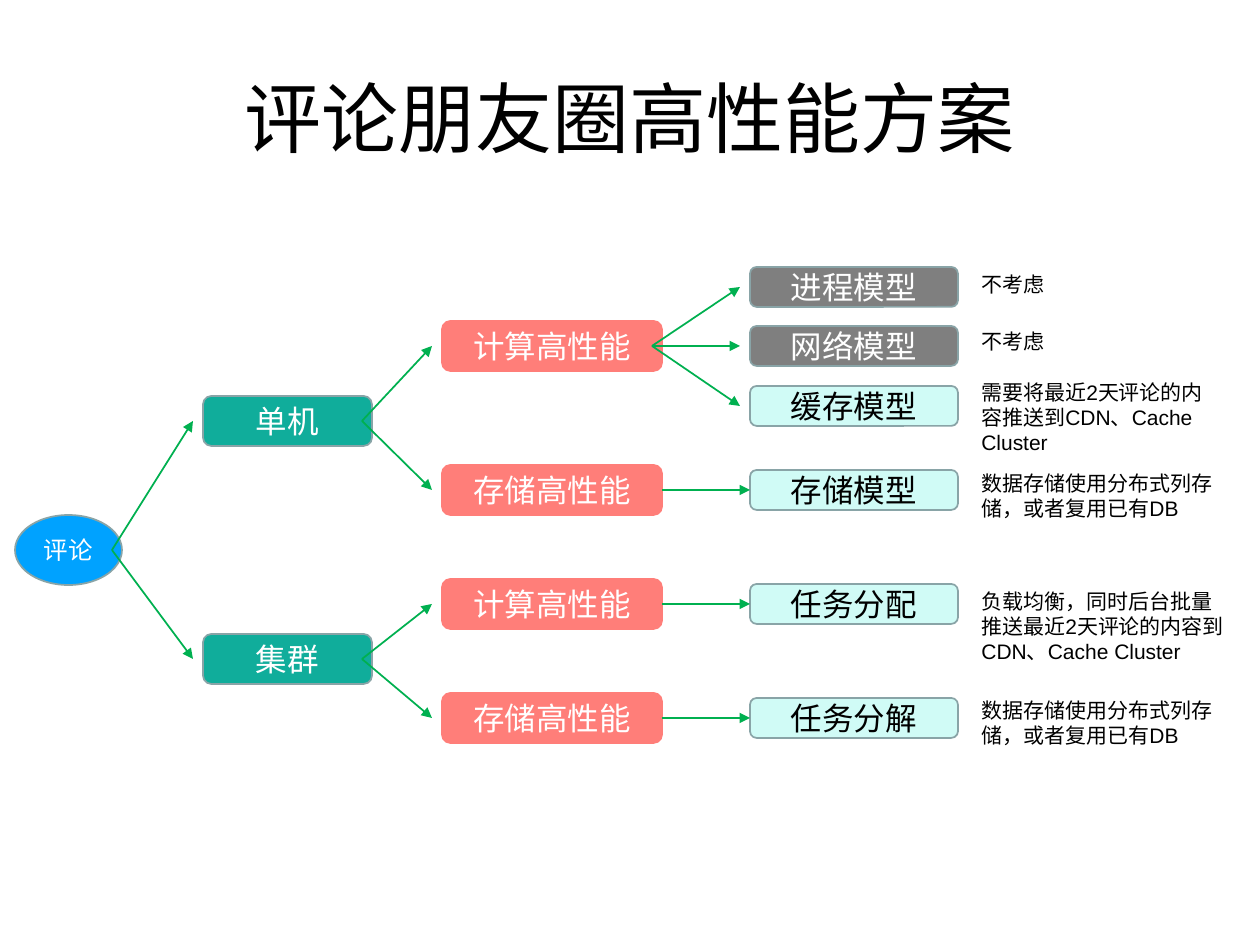
"""Build a slide with a tree of performance options for comments."""
import pptx
import pptx.dml.color
import pptx.enum.shapes
import pptx.enum.text
import pptx.oxml
import pptx.oxml.ns
import pptx.util

RGB = pptx.dml.color.RGBColor
SHAPE = pptx.enum.shapes.MSO_SHAPE
ALIGN = pptx.enum.text.PP_ALIGN
ANCHOR = pptx.enum.text.MSO_ANCHOR

BLUE = RGB(0x00, 0xA2, 0xFF)
TEAL = RGB(0x10, 0xAD, 0x9B)
CORAL = RGB(0xFF, 0x7E, 0x79)
GRAY = RGB(0x7F, 0x7F, 0x7F)
MINT = RGB(0xD0, 0xFB, 0xF6)
EDGE = RGB(0x89, 0xA4, 0xA7)
GREEN = RGB(0x00, 0xB0, 0x50)
WHITE = RGB(0xFF, 0xFF, 0xFF)
BLACK = RGB(0x00, 0x00, 0x00)

TITLE = "评论朋友圈高性能方案"
STORAGE_NOTE = "数据存储使用分布式列存储，或者复用已有DB"

# name, centre y, style, children
TREE = ("评论", 550, "root", [
    ("单机", 421, "branch", [
        ("计算高性能", 346, "topic", [
            ("进程模型", 287, "skipped", []),
            ("网络模型", 346, "skipped", []),
            ("缓存模型", 406, "leaf", []),
        ]),
        ("存储高性能", 490, "topic", [("存储模型", 490, "leaf", [])]),
    ]),
    ("集群", 659, "branch", [
        ("计算高性能", 604, "topic", [("任务分配", 604, "leaf", [])]),
        ("存储高性能", 718, "topic", [("任务分解", 718, "leaf", [])]),
    ]),
])

# left, width, height, fill, line, font colour, font size
STYLES = {
    "root": (15, 107, 70, BLUE, EDGE, WHITE, 14),
    "branch": (203, 169, 50, TEAL, EDGE, WHITE, 18),
    "topic": (442, 220, 50, CORAL, CORAL, WHITE, 18),
    "skipped": (750, 208, 40, GRAY, EDGE, WHITE, 18),
    "leaf": (750, 208, 40, MINT, EDGE, BLACK, 18),
}

# top, width, height, text
NOTES = [
    (265, 137, 38, "不考虑"),
    (322, 137, 38, "不考虑"),
    (373, 267, 88, "需要将最近2天评论的内容推送到CDN、Cache Cluster"),
    (464, 271, 63, STORAGE_NOTE),
    (582, 271, 88, "负载均衡，同时后台批量推送最近2天评论的内容到CDN、Cache Cluster"),
    (691, 271, 63, STORAGE_NOTE),
]
NOTE_LEFT = 969
FAN_INSET = 10


def px(n):
    return pptx.util.Emu(round(n * 914400 / 126))


def write(tf, text, size, color, align, anchor):
    tf.word_wrap = True
    tf.vertical_anchor = anchor
    p = tf.paragraphs[0]
    p.alignment = align
    r = p.add_run()
    r.text = text
    r.font.size = pptx.util.Pt(size)
    r.font.name = "Arial"
    r.font.color.rgb = color


def add_node(s, name, cy, style):
    left, width, height, fill, line, color, size = STYLES[style]
    kind = SHAPE.OVAL if style == "root" else SHAPE.ROUNDED_RECTANGLE
    sp = s.shapes.add_shape(kind, px(left), px(cy - height / 2), px(width), px(height))
    sp.shadow.inherit = False
    sp.fill.solid()
    sp.fill.fore_color.rgb = fill
    sp.line.color.rgb = line
    sp.line.width = pptx.util.Pt(1)
    write(sp.text_frame, name, size, color, ALIGN.CENTER, ANCHOR.MIDDLE)
    return sp


def add_arrow(s, parent, child, fanned):
    inset = px(FAN_INSET) if fanned else 0
    c = s.shapes.add_connector(
        pptx.enum.shapes.MSO_CONNECTOR.STRAIGHT,
        parent.left + parent.width - inset, parent.top + parent.height // 2,
        child.left - inset, child.top + child.height // 2)
    if not fanned:
        c.begin_connect(parent, 3)
        c.end_connect(child, 1)
    c.line.color.rgb = GREEN
    c.line.width = pptx.util.Pt(1)
    tail = pptx.oxml.parse_xml(
        '<a:tailEnd %s type="triangle"/>' % pptx.oxml.ns.nsdecls("a"))
    c.line._get_or_add_ln().append(tail)
    c._element.spPr.append(pptx.oxml.parse_xml(
        "<a:effectLst %s/>" % pptx.oxml.ns.nsdecls("a")))


def add_tree(s, node, arrows):
    name, cy, style, children = node
    sp = add_node(s, name, cy, style)
    for child in children:
        arrows.append((sp, add_tree(s, child, arrows), len(children) > 1))
    return sp


def main():
    prs = pptx.Presentation()
    prs.slide_width, prs.slide_height = px(1260), px(945)
    s = prs.slides.add_slide(prs.slide_layouts[5])

    title = s.shapes.title
    title.left, title.top, title.width, title.height = px(63), px(38), px(1134), px(158)
    write(title.text_frame, TITLE, 44, BLACK, ALIGN.CENTER, ANCHOR.MIDDLE)

    arrows = []
    add_tree(s, TREE, arrows)
    for parent, child, fanned in arrows:
        add_arrow(s, parent, child, fanned)

    for top, width, height, text in NOTES:
        box = s.shapes.add_textbox(px(NOTE_LEFT), px(top), px(width), px(height))
        write(box.text_frame, text, 12, BLACK, ALIGN.LEFT, ANCHOR.TOP)

    prs.save("out.pptx")


if __name__ == "__main__":
    main()
